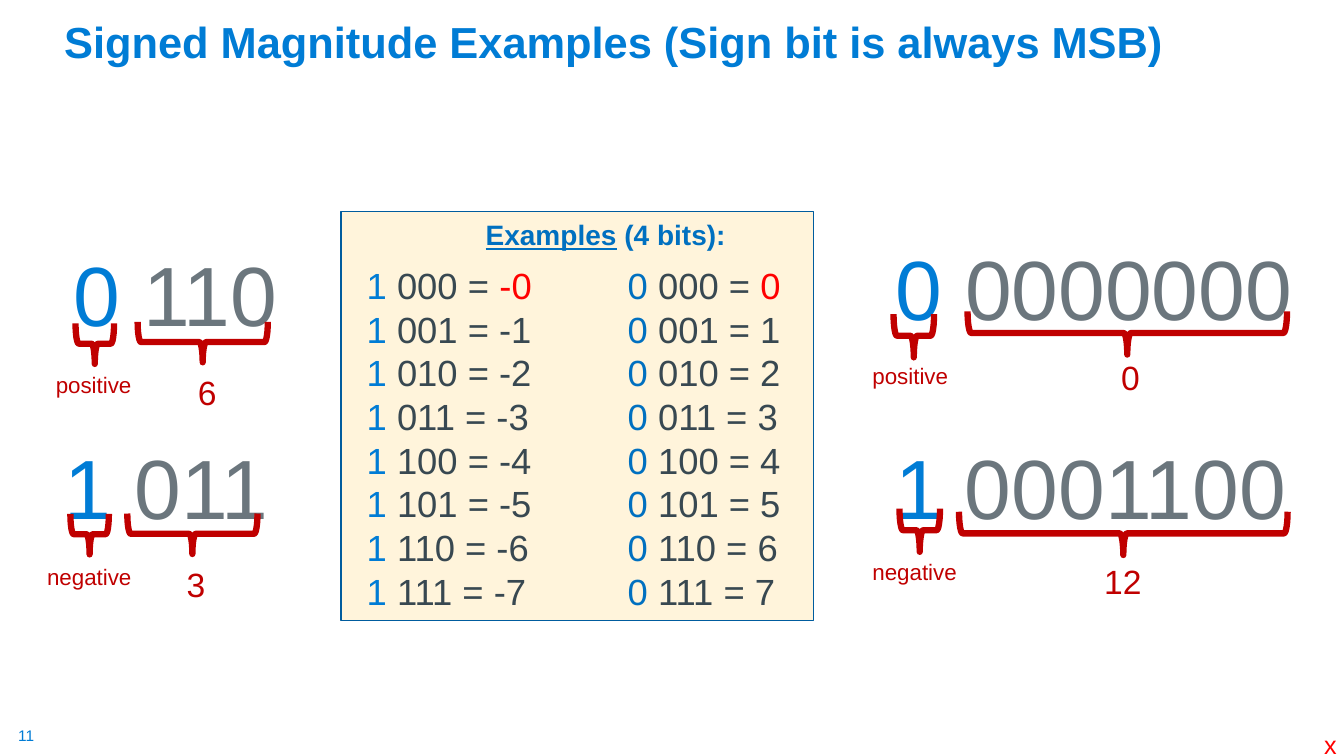
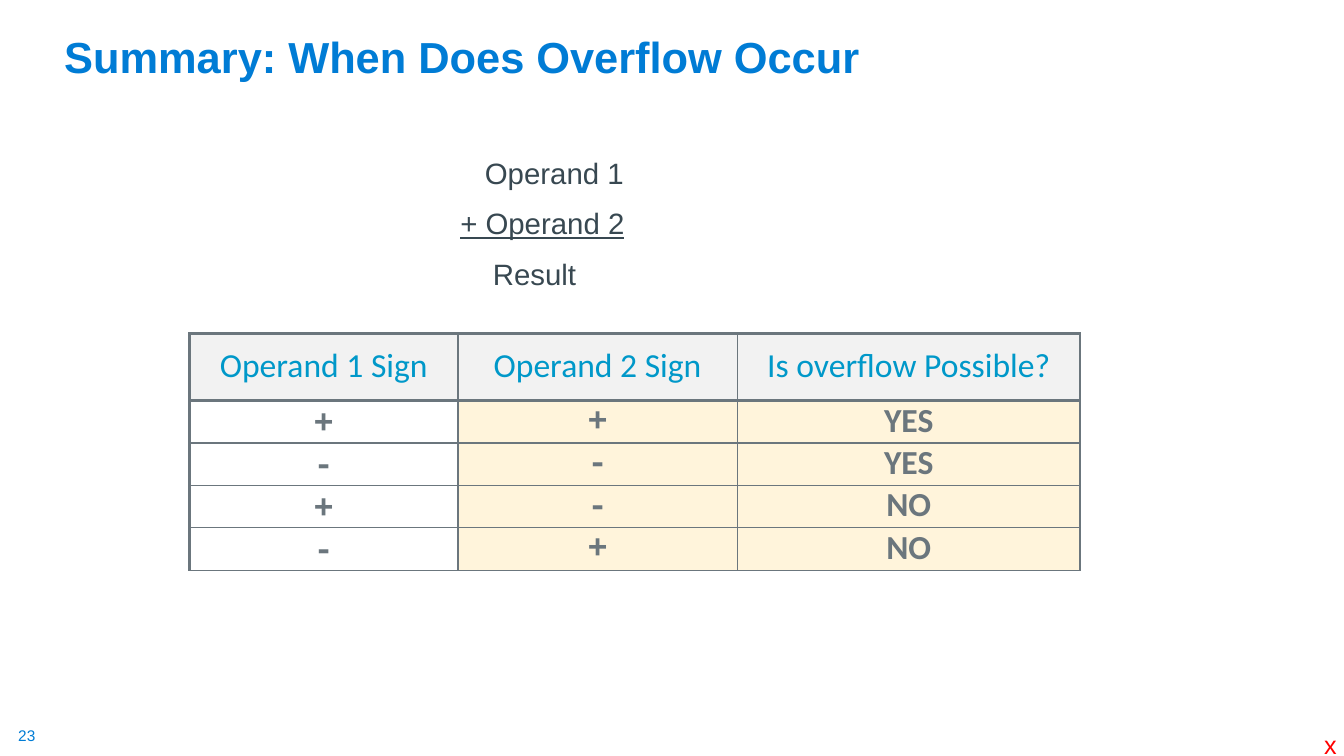
from lxml import etree
from pptx import Presentation
from pptx.dml.color import RGBColor
from pptx.enum import shapes, text
from pptx.oxml.ns import qn
from pptx.util import Cm, Pt

BLUE, DEEP_BLUE, EDGE, CYAN = "007CD5", "0070C0", "005C9E", "0098C9"
INK, GREY, DARK_RED, RED = "384851", "6B767D", "C00000", "FF0000"
CREAM, PALE = "FFF4DB", "F2F2F2"
LEFT, CENTER = text.PP_ALIGN.LEFT, text.PP_ALIGN.CENTER
MARGINS = (0.25, 0.13, 0.25, 0.13)

# Lengths in cm. Braces: (centre x, centre y, span); labels: (centre x, top).
BIT_PATTERNS = [
    dict(sign="0", bits="110", box=(1.57, 5.99, 5.69), depth=1.02,
         braces=[(2.39, 8.66, 0.97), (5.11, 8.62, 3.28)],
         labels=[("positive", 16, 2.36, 9.22), ("6", 24, 5.22, 9.25)]),
    dict(sign="1", bits="011", box=(1.35, 10.85, 5.69), depth=1.02,
         braces=[(2.26, 13.46, 0.97), (4.85, 13.45, 3.28)],
         labels=[("negative", 16, 2.25, 14.05), ("3", 24, 4.94, 14.07)]),
    dict(sign="0", bits="0000000", box=(22.25, 5.84, 10.62), depth=1.09,
         braces=[(23.03, 8.46, 1.02), (28.41, 8.39, 8.05)],
         labels=[("positive", 16, 22.94, 8.99), ("0", 24, 28.49, 8.86)]),
    dict(sign="1", bits="0001100", box=(22.25, 10.85, 10.46), depth=1.09,
         braces=[(23.18, 13.36, 1.02), (28.31, 13.44, 8.28)],
         labels=[("negative", 16, 23.05, 13.94), ("12", 24, 28.3, 14)]),
]
# Sign bit, sign shown before the value, colour, left, width
EXAMPLE_COLUMNS = [("1", "-", BLUE, 9.09, 4.75), ("0", "", DEEP_BLUE, 15.67, 4.19)]

ADDITION = [("Operand 1", 0.62, False), ("+ Operand 2", 0, True), ("Result", 0.82, False)]
OVERFLOW = [
    ("Operand 1 Sign", "Operand 2 Sign", "Is overflow Possible?"),
    ("+", "+", "YES"),
    ("-", "-", "YES"),
    ("+", "-", "NO"),
    ("-", "+", "NO"),
]
COL_WIDTHS = (6.76, 7.04, 8.64)
HEADER_HEIGHT, ROW_HEIGHT = 1.68, 1.07
THIN, THICK = 1, 2.25


def rgb(value):
    return RGBColor.from_string(value)


def add_run(p, words, size, color, font="Arial", bold=False, underline=False):
    r = p.add_run()
    r.text = words
    f = r.font
    f.name, f.size, f.bold = font, Pt(size), bold
    f.color.rgb = rgb(color)
    if underline:
        f.underline = True


def add_text(s, box, paragraphs, size, align=LEFT, margins=MARGINS, wrap=False,
             bottom=False, spacing=None, **style):
    """Add a text box; each paragraph is a list of (words, colour) runs."""
    tf = s.shapes.add_textbox(*map(Cm, box)).text_frame
    tf.word_wrap = wrap
    tf.margin_left, tf.margin_top, tf.margin_right, tf.margin_bottom = map(Cm, margins)
    tf.vertical_anchor = text.MSO_ANCHOR.BOTTOM if bottom else text.MSO_ANCHOR.TOP
    for i, runs in enumerate(paragraphs):
        p = tf.add_paragraph() if i else tf.paragraphs[0]
        p.alignment = align
        p.line_spacing = spacing
        for words, color in runs:
            add_run(p, words, size, color, **style)
    return tf


def add_base(prs, title, number, top, height):
    """Add a slide with its title, slide number and corner mark."""
    s = prs.slides.add_slide(prs.slide_layouts[6])
    add_text(s, (0.46, 18.31, 0.48, 0.48), [[(number, BLUE)]], 11, margins=(0, 0, 0, 0))
    add_text(s, (1.37, top, 29.21, height), [[(title, BLUE)]], 31, wrap=True,
             bottom=True, spacing=0.9, bold=True)
    add_text(s, (33.12, 18.03, 0.74, 1.02), [[("x", RED)]], 18,
             margins=(0.25, 0.34, 0.1, 0))
    return s


def add_brace(s, cx, cy, span, depth):
    """Add a brace that opens upwards, centred on a point."""
    sp = s.shapes.add_shape(shapes.MSO_SHAPE.LEFT_BRACE, Cm(cx - depth / 2),
                            Cm(cy - span / 2), Cm(depth), Cm(span))
    sp.rotation = 270
    sp.shadow.inherit = False
    sp.fill.background()
    sp.line.color.rgb = rgb(DARK_RED)
    sp.line.width = Pt(4.5)


def add_bit_pattern(s, sign, bits, box, depth, braces, labels):
    add_text(s, (*box, 2.82), [[(sign, BLUE), (" " + bits, GREY)]], 60, CENTER)
    for brace in braces:
        add_brace(s, *brace, depth)
    for words, size, cx, top in labels:
        width = 2.67 if size == 16 else 1.47
        add_text(s, (cx - width / 2, top, width, size * 0.05 + 0.1),
                 [[(words, DARK_RED)]], size, CENTER)


def add_examples(s):
    panel = s.shapes.add_shape(shapes.MSO_SHAPE.RECTANGLE, Cm(8.59), Cm(5.33),
                               Cm(11.91), Cm(10.31))
    panel.shadow.inherit = False
    panel.fill.solid()
    panel.fill.fore_color.rgb = rgb(CREAM)
    panel.line.color.rgb = rgb(EDGE)
    panel.line.width = Pt(1)
    heading = add_text(s, (11.99, 5.36, 6.81, 1.12), [[]], 20).paragraphs[0]
    add_run(heading, "Examples", 20, DEEP_BLUE, bold=True, underline=True)
    add_run(heading, " (4 bits):", 20, DEEP_BLUE, bold=True)
    for bit, minus, color, left, width in EXAMPLE_COLUMNS:
        rows = []
        for n in range(8):
            value = f"{minus}{n}"
            if n:
                rows.append([(bit + " ", color), (f"{n:03b} = {value}", INK)])
            else:
                rows.append([(bit + " ", color), (f"{n:03b} = ", INK), (value, RED)])
        add_text(s, (left, 6.48, width, 9.17), rows, 26, margins=(0.15,) * 4,
                 spacing=Pt(31.2))


def add_addition(s):
    tf = add_text(s, (11.35, 3.78, 5.41, 3.78), [[] for _ in ADDITION], 21, wrap=True)
    for i, (p, (words, indent, underline)) in enumerate(zip(tf.paragraphs, ADDITION)):
        p.space_before = Pt(10.8 if i else 0)
        p._p.get_or_add_pPr().set("marL", str(Cm(indent)))
        add_run(p, words, 21, INK, underline=underline)


def set_borders(cell, **widths):
    """Draw cell edges; keys are L, R, T, B in that order, widths in points."""
    tc_pr = cell._tc.get_or_add_tcPr()
    for side, width in widths.items():
        ln = etree.SubElement(tc_pr, qn("a:ln" + side), w=str(Pt(width)))
        fill = etree.SubElement(ln, qn("a:solidFill"))
        etree.SubElement(fill, qn("a:srgbClr"), val=GREY)


def add_overflow_table(s):
    heights = [HEADER_HEIGHT] + [ROW_HEIGHT] * (len(OVERFLOW) - 1)
    table = s.shapes.add_table(len(heights), len(COL_WIDTHS), Cm(4.78), Cm(8.41),
                               Cm(sum(COL_WIDTHS)), Cm(sum(heights))).table
    table.first_row = table.horz_banding = False
    for col, width in zip(table.columns, COL_WIDTHS):
        col.width = Cm(width)
    for row, height in zip(table.rows, heights):
        row.height = Cm(height)
    last = len(COL_WIDTHS) - 1
    for i, row in enumerate(OVERFLOW):
        for j, words in enumerate(row):
            cell = table.cell(i, j)
            plain = i > 0 and j == 0
            set_borders(cell, L=THIN if j else THICK, R=THICK if j == last else THIN,
                        T=THICK if i < 3 else THIN, B=THICK if i < 2 else THIN)
            if plain:
                cell.fill.background()
            else:
                cell.fill.solid()
                cell.fill.fore_color.rgb = rgb(CREAM if i else PALE)
            cell.margin_left = cell.margin_right = 0
            cell.margin_top = Cm(0.25)
            cell.margin_bottom = Cm(0 if plain else 0.1)
            cell.vertical_anchor = text.MSO_ANCHOR.MIDDLE
            p = cell.text_frame.paragraphs[0]
            p.alignment = CENTER
            p.line_spacing = 0.6
            font = "Courier New" if i and j < last else "Calibri"
            add_run(p, words, 24, GREY if i else CYAN, font, bold=i > 0)


def main():
    prs = Presentation()
    prs.slide_width, prs.slide_height = Cm(33.87), Cm(19.05)

    s = add_base(prs, "Signed Magnitude Examples (Sign bit is always MSB)", "11", 0.43, 1.4)
    add_examples(s)
    for pattern in BIT_PATTERNS:
        add_bit_pattern(s, **pattern)

    s = add_base(prs, "Summary: When Does Overflow Occur", "23", 0.23, 1.98)
    add_addition(s)
    add_overflow_table(s)

    prs.save("out.pptx")


if __name__ == "__main__":
    main()
